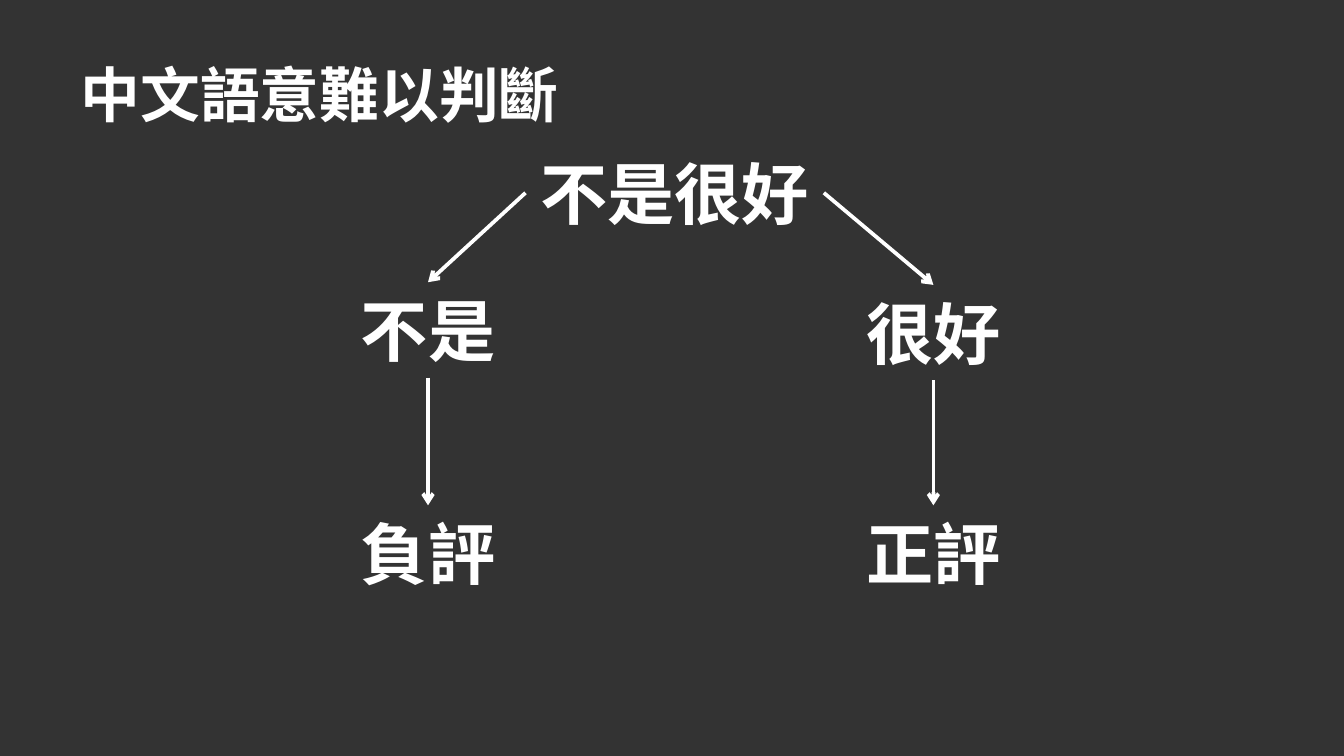
from lxml import etree
from pptx import Presentation
from pptx.dml.color import RGBColor
from pptx.enum import shapes, text
from pptx.oxml import ns
from pptx.util import Inches, Pt

WHITE = RGBColor(0xFF, 0xFF, 0xFF)
DARK = RGBColor(0x33, 0x33, 0x33)
FONT = "Noto Sans CJK SC"


def style(frame, words, size, align):
    """Set the words of a text frame in bold white."""
    frame.text = words
    frame.vertical_anchor = text.MSO_ANCHOR.MIDDLE
    para = frame.paragraphs[0]
    para.alignment = align
    for run in para.runs:
        font = run.font
        font.name, font.size, font.bold = FONT, Pt(size), True
        font.color.rgb = WHITE
        face = etree.SubElement(font._element, ns.qn("a:ea"))
        face.set("typeface", FONT)


def head(slide, words):
    """Place the slide title."""
    title = slide.shapes.title
    title.left, title.top = Inches(0.5), Inches(0.23)
    title.width, title.height = Inches(9), Inches(0.94)
    style(title.text_frame, words, 32, text.PP_ALIGN.LEFT)


def node(slide, words, left, top, width=1.21):
    """Add a phrase and return its box."""
    box = slide.shapes.add_textbox(
        Inches(left), Inches(top), Inches(width), Inches(0.71))
    style(box.text_frame, words, 36, text.PP_ALIGN.CENTER)
    box.text_frame.word_wrap = False
    return box


def arrow(slide, start, side, end):
    """Join a side of one box to the top of another."""
    link = slide.shapes.add_connector(shapes.MSO_CONNECTOR.STRAIGHT, 0, 0, 0, 0)
    link.begin_connect(start, side)
    link.end_connect(end, 0)
    link.line.color.rgb = WHITE
    link.line.width = Pt(2)
    tip = etree.SubElement(link.line._get_or_add_ln(), ns.qn("a:tailEnd"))
    tip.set("type", "arrow")
    etree.SubElement(link._element.spPr, ns.qn("a:effectLst"))


def main():
    """Build the slide and save it."""
    deck = Presentation()
    deck.slide_width, deck.slide_height = Inches(10), Inches(10 * 9 / 16)
    slide = deck.slides.add_slide(deck.slide_layouts[5])
    fill = slide.background.fill
    fill.solid()
    fill.fore_color.rgb = DARK
    head(slide, "中文語意難以判斷")
    root = node(slide, "不是很好", 3.91, 1.08, 2.22)
    for part, verdict, left, top, side in (
            ("不是", "負評", 2.58, 2.1, 1),
            ("很好", "正評", 6.34, 2.12, 3)):
        half = node(slide, part, left, top)
        leaf = node(slide, verdict, left, 3.76)
        arrow(slide, root, side, half)
        arrow(slide, half, 2, leaf)
    deck.save("out.pptx")


if __name__ == "__main__":
    main()
